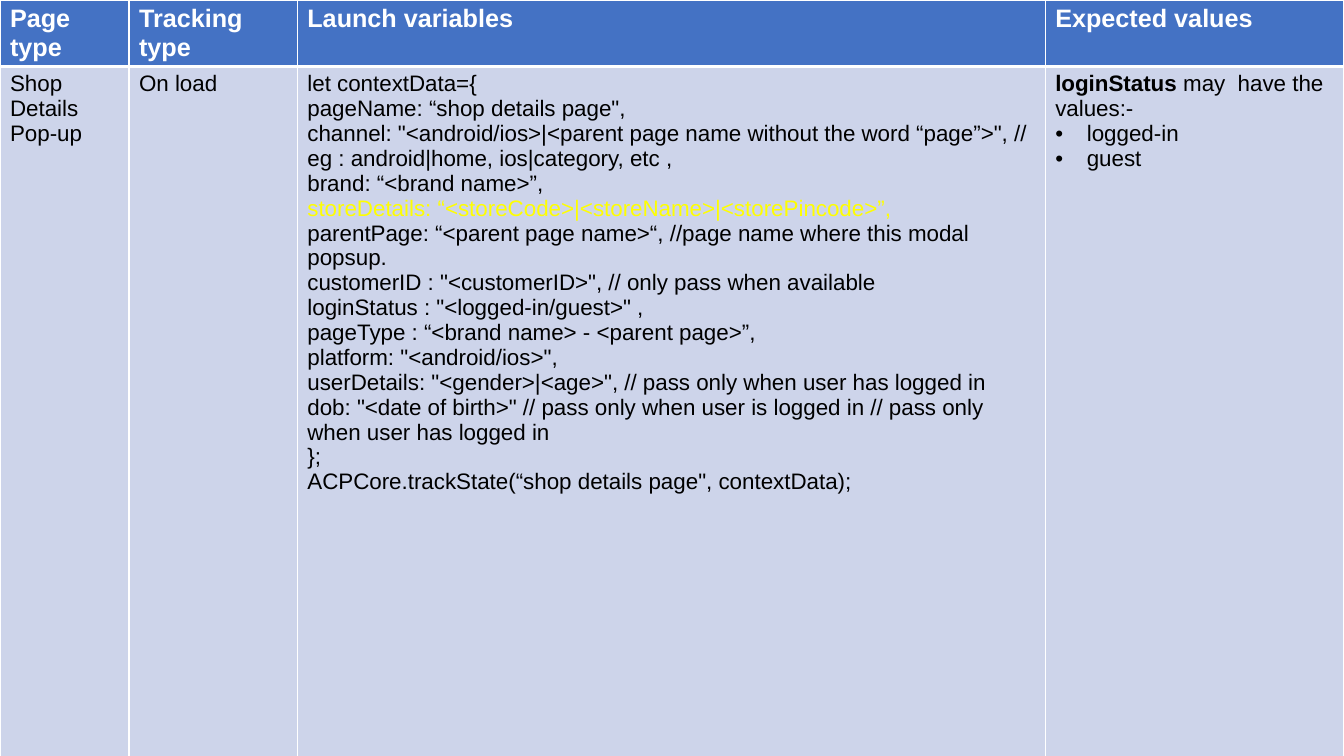
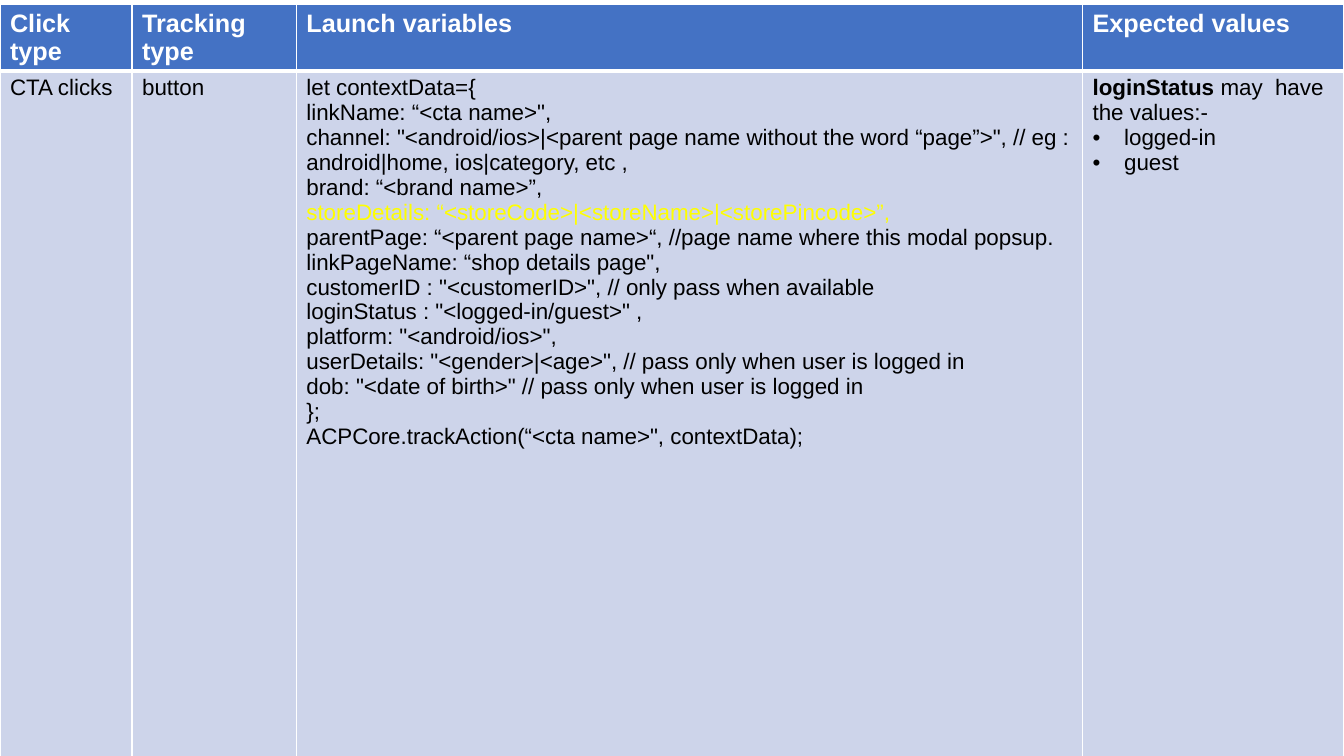
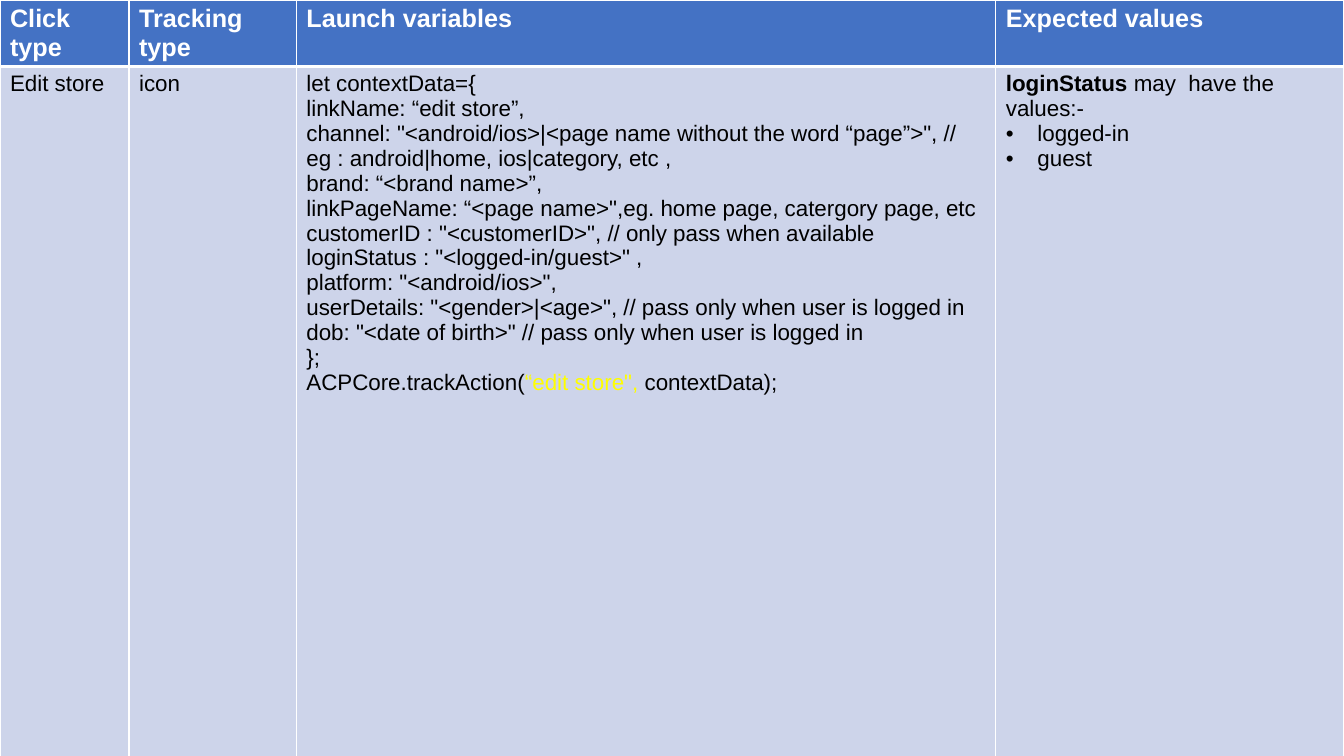
from lxml import etree
from pptx import Presentation
from pptx.dml.color import RGBColor
from pptx.oxml.ns import qn
from pptx.util import Pt

COLORS = {
    "header": "4472C4",
    "body": "CDD4EA",
    "border": "FFFFFF",
    "header_text": "FFFFFF",
    "text": "000000",
    "highlight": "FFFF00",
}
HEADER_FONT = {"name": "Arial", "size": Pt(18), "bold": True}
BODY_FONT = {"name": "Arial", "size": Pt(16), "bold": False}
SLIDE_WIDTH, SLIDE_HEIGHT = Pt(960), Pt(540)
TABLE_HEIGHT = Pt(535)
HEADER_HEIGHT = Pt(39)
BULLET_INDENT = Pt(22.5)
THIN, THICK = Pt(1), Pt(3)
BLANK_LAYOUT = 6

# Code lines that several pages share
OPENING = "let contextData={"
PARENT_CHANNEL = (
    'channel: "<android/ios>|<parent page name without the word “page”>", '
    "// eg : android|home, ios|category, etc ,"
)
BRAND = "brand: “<brand name>”,"
STORE_DETAILS = [("storeDetails: “<storeCode>|<storeName>|<storePincode>”,", {"color": "highlight"})]
PARENT_PAGE = "parentPage: “<parent page name>“, //page name where this modal popsup."
CUSTOMER = ['customerID : "<customerID>", // only pass when available',
            'loginStatus : "<logged-in/guest>" ,']
PLATFORM = 'platform: "<android/ios>",'
CLICK_USER = [
    PLATFORM,
    'userDetails: "<gender>|<age>", // pass only when user is logged in',
    'dob: "<date of birth>" // pass only when user is logged in',
    "};",
]

EXPECTED_INTRO = [("loginStatus ", {"bold": True}), ("may  have the values:-", {})]
EXPECTED_VALUES = ["logged-in", "guest"]

# Column widths leave out the last column, which takes the rest
PAGES = [
    {
        "top": Pt(0),
        "widths": [92.16, 120.24, 534.24],
        "kind": "Page type",
        "name": "Shop Details Pop-up",
        "tracking": "On load",
        "code": [
            OPENING,
            'pageName: “shop details page",',
            PARENT_CHANNEL,
            BRAND,
            STORE_DETAILS,
            PARENT_PAGE,
            *CUSTOMER,
            "pageType : “<brand name> - <parent page>”,",
            PLATFORM,
            'userDetails: "<gender>|<age>", // pass only when user has logged in',
            'dob: "<date of birth>" // pass only when user is logged in '
            "// pass only when user has logged in",
            "};",
            'ACPCore.trackState(“shop details page", contextData);',
        ],
    },
    {
        "top": Pt(3),
        "widths": [94.32, 117.36, 561.6],
        "kind": "Click  type",
        "name": "CTA clicks",
        "tracking": "button",
        "code": [
            OPENING,
            'linkName: “<cta name>",',
            PARENT_CHANNEL,
            BRAND,
            STORE_DETAILS,
            PARENT_PAGE,
            'linkPageName: “shop details page",',
            *CUSTOMER,
            *CLICK_USER,
            'ACPCore.trackAction(“<cta name>", contextData);',
        ],
    },
    {
        "top": Pt(0),
        "widths": [92.16, 119.52, 499.68],
        "kind": "Click  type",
        "name": "Edit store",
        "tracking": "icon",
        "code": [
            OPENING,
            "linkName: “edit store”,",
            'channel: "<android/ios>|<page name without the word “page”>", '
            "// eg : android|home, ios|category, etc ,",
            BRAND,
            'linkPageName: “<page name>",eg. home page, catergory page, etc',
            *CUSTOMER,
            *CLICK_USER,
            [("ACPCore.trackAction(", {}), ('“edit store", ', {"color": "highlight"}),
             ("contextData);", {})],
        ],
    },
]


def write_paragraph(paragraph, content, font_values, color):
    """Write a string, or a list of (text, changes) runs."""
    runs = [(content, {})] if isinstance(content, str) else content
    for text, changes in runs:
        run = paragraph.add_run()
        run.text = text
        values = {**font_values, "color": color, **changes}
        run.font.color.rgb = RGBColor.from_string(COLORS[values.pop("color")])
        for name, value in values.items():
            setattr(run.font, name, value)


def write_lines(cell, lines, font_values, color):
    frame = cell.text_frame
    for index, line in enumerate(lines):
        paragraph = frame.add_paragraph() if index else frame.paragraphs[0]
        write_paragraph(paragraph, line, font_values, color)


def add_bullet(paragraph):
    properties = paragraph._p.get_or_add_pPr()
    properties.set("marL", str(BULLET_INDENT))
    properties.set("indent", str(-BULLET_INDENT))
    etree.SubElement(properties, qn("a:buFont"), typeface="Arial")
    etree.SubElement(properties, qn("a:buChar"), char="•")


def format_cell(cell, fill, top_width, bottom_width):
    # Borders come before the fill in the cell properties
    properties = cell._tc.get_or_add_tcPr()
    sides = {"L": THIN, "R": THIN, "T": top_width, "B": bottom_width}
    for side, width in sides.items():
        line = etree.SubElement(properties, qn(f"a:ln{side}"), w=str(width))
        solid = etree.SubElement(line, qn("a:solidFill"))
        etree.SubElement(solid, qn("a:srgbClr"), val=COLORS["border"])
    cell.fill.solid()
    cell.fill.fore_color.rgb = RGBColor.from_string(COLORS[fill])


def add_tracking_table(slide, box, page):
    left, top, width, height = box
    table = slide.shapes.add_table(2, 4, left, top, width, height).table
    table.horz_banding = False

    # Column and row sizes
    widths = [Pt(value) for value in page["widths"]]
    widths.append(width - sum(widths))
    for column, column_width in zip(table.columns, widths):
        column.width = column_width
    table.rows[0].height = HEADER_HEIGHT
    table.rows[1].height = height - HEADER_HEIGHT

    # Header row
    headings = [page["kind"], "Tracking type", "Launch variables", "Expected values"]
    for cell, heading in zip(table.rows[0].cells, headings):
        format_cell(cell, "header", THIN, THICK)
        write_lines(cell, [heading], HEADER_FONT, "header_text")

    # Body row
    contents = [[page["name"]], [page["tracking"]], page["code"],
                [EXPECTED_INTRO, *EXPECTED_VALUES]]
    for cell, lines in zip(table.rows[1].cells, contents):
        format_cell(cell, "body", THICK, THIN)
        write_lines(cell, lines, BODY_FONT, "text")
    for paragraph in table.cell(1, 3).text_frame.paragraphs[1:]:
        add_bullet(paragraph)


def main():
    presentation = Presentation()
    presentation.slide_width = SLIDE_WIDTH
    presentation.slide_height = SLIDE_HEIGHT
    for page in PAGES:
        slide = presentation.slides.add_slide(presentation.slide_layouts[BLANK_LAYOUT])
        add_tracking_table(slide, (Pt(0), page["top"], SLIDE_WIDTH, TABLE_HEIGHT), page)
    presentation.save("out.pptx")


if __name__ == "__main__":
    main()
